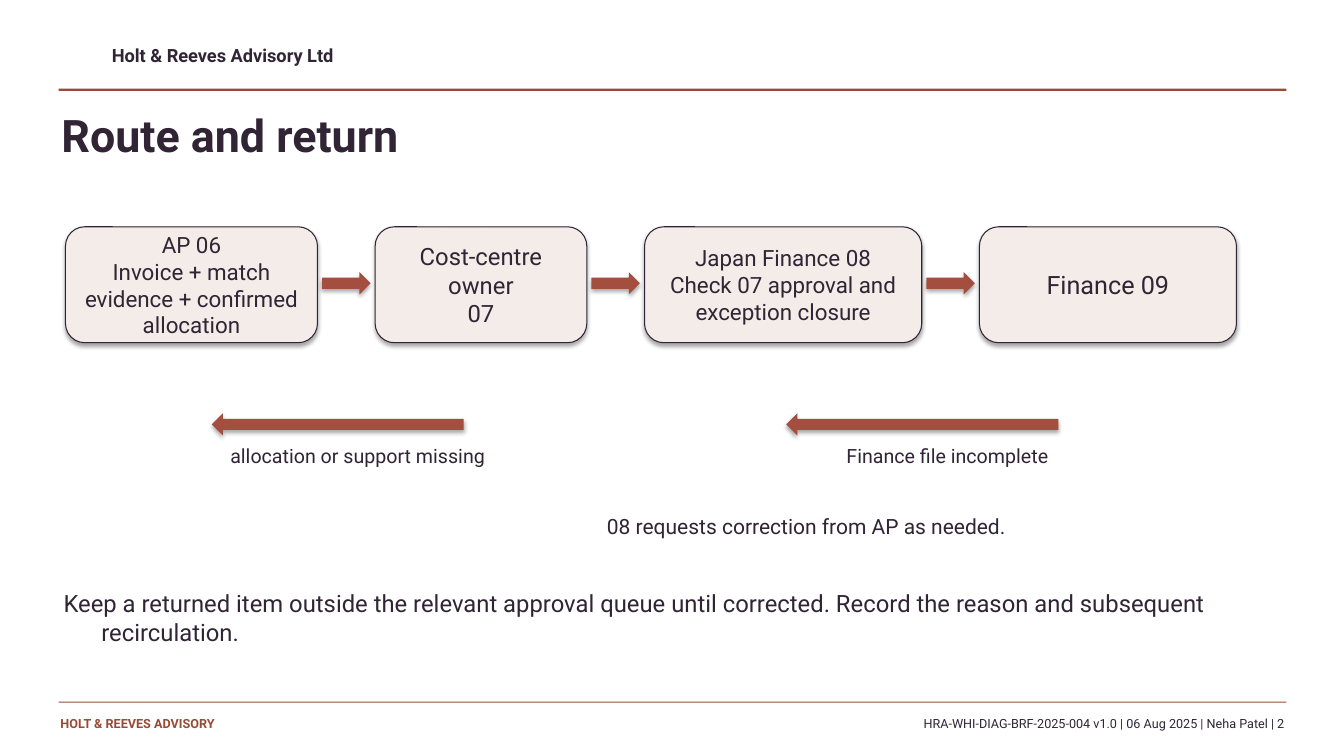
from lxml.etree import SubElement
from pptx import Presentation
from pptx.dml.color import RGBColor
from pptx.enum.shapes import MSO_SHAPE
from pptx.enum.text import MSO_ANCHOR, PP_ALIGN
from pptx.oxml.ns import qn
from pptx.util import Pt

INK = RGBColor(0x30, 0x24, 0x35)
RUST = RGBColor(0x96, 0x4B, 0x37)
ARROW = RGBColor(0xA3, 0x4E, 0x3E)
PALE = RGBColor(0xF4, 0xEC, 0xE8)
FONT = "Roboto"

COMPANY = "Holt & Reeves Advisory Ltd"
TITLE = "Route and return"
RULE = "Keep a returned item outside the relevant approval queue until corrected. Record the reason and subsequent recirculation."
FOOTER_NAME = "HOLT & REEVES ADVISORY"
FOOTER_REFERENCE = "HRA-WHI-DIAG-BRF-2025-004 v1.0 | 06 Aug 2025 | Neha Patel | 2"

STEPS = [
    ("AP 06\nInvoice + match evidence + confirmed allocation", 180, 16),
    ("Cost-centre owner\n07", 151.2, 17),
    ("Japan Finance 08\nCheck 07 approval and exception closure", 198, 16),
    ("Finance 09", 183.6, 18),
]
RETURNS = [(151.2, 180), (561.6, 194.4)]
NOTES = [
    ("allocation or support missing", 144, 313.2, 223.2, 14),
    ("Finance file incomplete", 576, 313.2, 201.6, 14),
    ("08 requests correction from AP as needed.", 374.4, 363.6, 403.2, 15),
]

STEP_LEFT, STEP_TOP, STEP_HEIGHT, STEP_GAP = 46.8, 162, 82.8, 41.2
ARROW_WIDTH, ARROW_HEIGHT = 34.6, 15.84
FORWARD_TOP, RETURN_TOP = 194.4, 295.2

presentation = Presentation()
presentation.slide_width = Pt(960)
presentation.slide_height = Pt(540)
slide = presentation.slides.add_slide(presentation.slide_layouts[6])


def write(shape, text, size, color=INK, bold=False, align=PP_ALIGN.CENTER):
    shape.text_frame.word_wrap = True
    paragraph = shape.text_frame.paragraphs[0]
    paragraph.text = text
    paragraph.alignment = align
    paragraph.font.name = FONT
    paragraph.font.size = Pt(size)
    paragraph.font.bold = bold
    paragraph.font.color.rgb = color
    return paragraph


def add_text(text, left, top, width, height, size, inset=True, **style):
    box = slide.shapes.add_textbox(Pt(left), Pt(top), Pt(width), Pt(height))
    if not inset:
        frame = box.text_frame
        frame.margin_left = frame.margin_right = frame.margin_top = frame.margin_bottom = 0
    return write(box, text, size, **style)


def add_shape(kind, left, top, width, height, fill, shadow=False):
    shape = slide.shapes.add_shape(kind, Pt(left), Pt(top), Pt(width), Pt(height))
    shape.fill.solid()
    shape.fill.fore_color.rgb = fill
    shape.line.fill.background()
    shape.shadow.inherit = False
    if shadow:
        effects = shape.element.spPr.find(qn("a:effectLst"))
        outer = SubElement(effects, qn("a:outerShdw"), blurRad=str(Pt(3.1)),
                           dist=str(Pt(1.8)), dir="5400000", rotWithShape="0")
        tint = SubElement(outer, qn("a:srgbClr"), val="000000")
        SubElement(tint, qn("a:alpha"), val="35000")
    return shape


def add_arrow(left, top, width):
    return add_shape(MSO_SHAPE.RIGHT_ARROW, left, top, width, ARROW_HEIGHT, ARROW, shadow=True)


add_text(COMPANY, 79.9, 31.7, 432, 19.4, 13, inset=False, bold=True, align=PP_ALIGN.LEFT)
for top, thickness in [(63.4, 1.6), (501.1, 0.9)]:
    add_shape(MSO_SHAPE.RECTANGLE, 41.8, top, 877, thickness, RUST)

add_text(TITLE, 43.9, 77, 864, 56.2, 32, inset=False, bold=True, align=PP_ALIGN.LEFT)

left = STEP_LEFT
for number, (text, width, size) in enumerate(STEPS):
    step = add_shape(MSO_SHAPE.ROUNDED_RECTANGLE, left, STEP_TOP, width, STEP_HEIGHT, PALE, shadow=True)
    step.line.color.rgb = INK
    step.line.width = Pt(0.75)
    step.text_frame.vertical_anchor = MSO_ANCHOR.MIDDLE
    write(step, text, size)
    left += width + STEP_GAP
    if number < len(STEPS) - 1:
        add_arrow(left - (STEP_GAP + ARROW_WIDTH) / 2, FORWARD_TOP, ARROW_WIDTH)

for left, width in RETURNS:
    add_arrow(left, RETURN_TOP, width).rotation = 180
for text, left, top, width, size in NOTES:
    add_text(text, left, top, width, 36, size)

paragraph = add_text(RULE, 45.4, 420.5, 859.7, 57.6, 17, inset=False, align=PP_ALIGN.LEFT)
properties = paragraph._p.get_or_add_pPr()
properties.set("marL", str(Pt(27)))
properties.set("indent", str(-Pt(27)))

add_text(FOOTER_NAME, 43.2, 511.2, 244.8, 18, 9, inset=False, color=RUST, bold=True, align=PP_ALIGN.LEFT)
add_text(FOOTER_REFERENCE, 296.6, 511.2, 620.6, 14.4, 9, inset=False, align=PP_ALIGN.RIGHT)

presentation.save("out.pptx")
